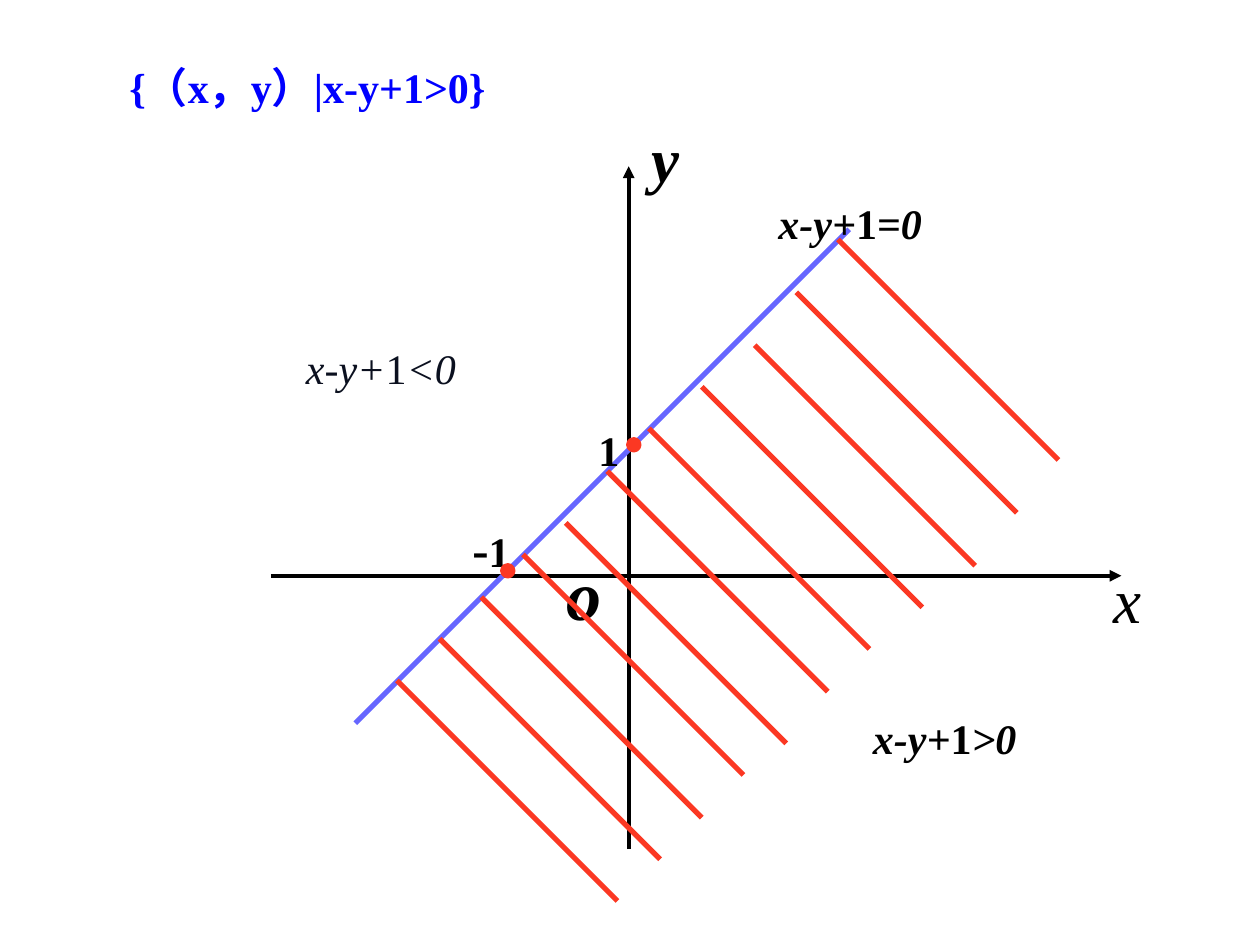
from dataclasses import dataclass

from lxml import etree
from pptx import Presentation
from pptx.dml.color import RGBColor
from pptx.enum.shapes import MSO_CONNECTOR, MSO_SHAPE
from pptx.enum.text import MSO_ANCHOR, PP_ALIGN
from pptx.oxml.ns import qn
from pptx.util import Inches, Pt

STRAIGHT = MSO_CONNECTOR.STRAIGHT
OVAL = MSO_SHAPE.OVAL
TOP, BOTTOM = MSO_ANCHOR.TOP, MSO_ANCHOR.BOTTOM
LEFT, CENTER = PP_ALIGN.LEFT, PP_ALIGN.CENTER


@dataclass(frozen=True)
class Theme:
    font: str = "Times New Roman"
    black: str = "000000"
    muted: str = "0B101F"
    title: str = "0000FF"
    boundary: str = "6666FF"
    hatch: str = "FB3823"
    body_size: float = 24
    minus_size: float = 28
    axis_size: float = 36
    origin_size: float = 40
    axis_width: float = 2.25
    line_width: float = 3


THEME = Theme()

# Upper ends of the hatch lines, from the plot's top left corner
HATCH_STARTS = [
    (1.00, 4.50), (1.34, 4.17), (1.67, 3.84), (2.00, 3.50),
    (2.34, 3.25), (2.67, 2.84), (3.00, 2.50), (3.42, 2.17),
    (3.84, 1.84), (4.17, 1.42), (4.50, 1.00),
]
HATCH_REACH = 1.75


def add_line(slide, start, end, color, width, arrow=False):
    points = [Inches(value) for value in (*start, *end)]
    connector = slide.shapes.add_connector(STRAIGHT, *points)
    connector.line.color.rgb = RGBColor.from_string(color)
    connector.line.width = Pt(width)
    if arrow:
        line = connector.line._get_or_add_ln()
        etree.SubElement(line, qn("a:tailEnd"), type="triangle")
    etree.SubElement(connector._element.spPr, qn("a:effectLst"))


def add_text(slide, box, runs, color=THEME.black, bold=True,
             anchor=TOP, align=LEFT):
    """Each run is (text, size, italic)."""
    shape = slide.shapes.add_textbox(*[Inches(value) for value in box])
    frame = shape.text_frame
    frame.word_wrap = False
    frame.vertical_anchor = anchor
    paragraph = frame.paragraphs[0]
    paragraph.alignment = align
    for text, size, italic in runs:
        run = paragraph.add_run()
        run.text = text
        run.font.name = THEME.font
        run.font.size = Pt(size)
        run.font.bold = bold
        run.font.italic = italic
        run.font.color.rgb = RGBColor.from_string(color)


def add_relation(slide, box, ending, color=THEME.black, bold=True):
    size = THEME.body_size
    runs = [("x-y+", size, True), ("1", size, False), (ending, size, True)]
    add_text(slide, box, runs, color, bold, BOTTOM)


def add_point(slide, left, top):
    size = Inches(0.08)
    shape = slide.shapes.add_shape(OVAL, Inches(left), Inches(top), size, size)
    shape.shadow.inherit = False
    color = RGBColor.from_string(THEME.hatch)
    shape.fill.solid()
    shape.fill.fore_color.rgb = color
    shape.line.color.rgb = color
    shape.line.width = Pt(THEME.line_width)


def draw_title(slide, left, top, width, height):
    runs = [("{（x，y）|x-y+1>0}", THEME.body_size, False)]
    add_text(slide, (left, top, width, height), runs, THEME.title, align=CENTER)


def draw_axes(slide, left, top, width, height):
    origin_x, origin_y = left + 2.84, top + 3.67
    add_line(slide, (origin_x, top + height), (origin_x, top + 0.42),
             THEME.black, THEME.axis_width, arrow=True)
    add_line(slide, (left, origin_y), (left + width, origin_y),
             THEME.black, THEME.axis_width, arrow=True)
    add_text(slide, (left + 6.59, top + 3.5, 0.5, 0.7),
             [("x", THEME.axis_size, True)], bold=False)
    add_text(slide, (left + 2.92, top, 0.5, 0.7),
             [("y", THEME.axis_size, True)])
    add_text(slide, (left + 2.25, top + 3.42, 0.58, 0.77),
             [("o", THEME.origin_size, True)])


def draw_half_plane(slide, left, top):
    # Boundary line and its intercept labels
    add_line(slide, (left + 0.67, top + 4.84), (left + 4.59, top + 0.92),
             THEME.boundary, THEME.line_width)
    add_text(slide, (left + 2.5, top + 2.42, 0.42, 0.5),
             [("1", THEME.body_size, False)])
    add_text(slide, (left + 1.5, top + 3.17, 0.5, 0.57),
             [("-", THEME.minus_size, False), ("1", THEME.body_size, False)])

    # Hatching below the boundary
    for x, y in HATCH_STARTS:
        start = (left + x, top + y)
        end = (start[0] + HATCH_REACH, start[1] + HATCH_REACH)
        add_line(slide, start, end, THEME.hatch, THEME.line_width)

    # Relations for the two sides and the boundary
    add_relation(slide, (left + 4.68, top + 4.52, 1.35, 0.68), ">0")
    add_relation(slide, (left + 0.18, top + 1.77, 1.5, 0.5), "<0",
                 THEME.muted, bold=False)
    add_relation(slide, (left + 3.93, top + 0.52, 1.43, 0.6), "=0")

    # Intercepts
    add_point(slide, left + 1.84, top + 3.59)
    add_point(slide, left + 2.84, top + 2.59)


def main():
    presentation = Presentation()
    presentation.slide_width = Inches(10)
    presentation.slide_height = Inches(7.5)
    slide = presentation.slides.add_slide(presentation.slide_layouts[6])
    draw_axes(slide, 2.15, 0.9, 6.75, 5.84)
    draw_half_plane(slide, 2.15, 0.9)
    draw_title(slide, 0.43, 0.44, 4.02, 0.5)
    presentation.save("out.pptx")


if __name__ == "__main__":
    main()
